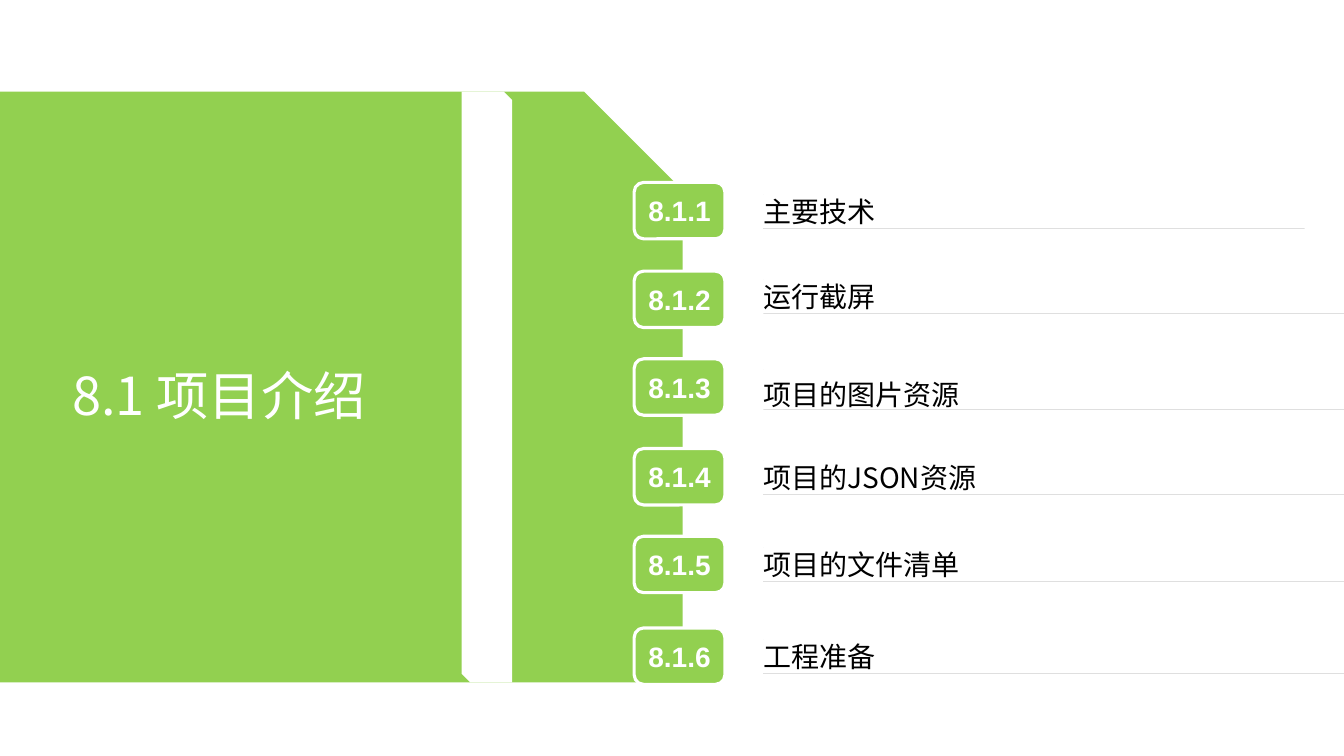
import pptx
import pptx.util
import pptx.dml.color
import pptx.enum.shapes
import pptx.enum.text
from lxml import etree

Inches, Pt = pptx.util.Inches, pptx.util.Pt
SHAPE = pptx.enum.shapes.MSO_SHAPE
ALIGN = pptx.enum.text.PP_ALIGN

TITLE = "8.1 项目介绍"
# label, text, tab top, text top, text width, text height, line spacing
ITEMS = [
    ("8.1.1", "主要技术", 1.81, 1.93, 5.37, 0.34, 1.0),
    ("8.1.2", "运行截屏", 2.69, 2.77, 6.29, 0.34, 1.0),
    ("8.1.3", "项目的图片资源", 3.56, 3.67, 6.58, 0.39, 1.3),
    ("8.1.4", "项目的JSON资源", 4.45, 4.57, 6.84, 0.34, 1.0),
    ("8.1.5", "项目的文件清单", 5.32, 5.43, 6.84, 0.34, 1.0),
    ("8.1.6", "工程准备", 6.23, 6.34, 6.84, 0.34, 1.0),
]
THEME = {
    "green": "92D050", "white": "FFFFFF", "black": "000000",
    "latin": "Arial", "cjk": "Noto Sans CJK SC", "title": 37.33, "body": 20,
}
PANEL_TOP, PANEL_H = 0.91, 5.86
TAB_LEFT, TAB_W, TAB_H = 6.29, 0.9, 0.56
TEXT_LEFT = 7.57


def color(name):
    return pptx.dml.color.RGBColor.from_string(THEME[name])


def paint(shape, fill, edge=None):
    shape.shadow.inherit = False
    shape.fill.solid()
    shape.fill.fore_color.rgb = color(fill)
    if edge:
        shape.line.color.rgb = color(edge)
        shape.line.width = Pt(2.25)
    else:
        shape.line.fill.background()
    return shape


def add_block(slide, kind, box, fill, edge=None):
    shape = slide.shapes.add_shape(kind, *map(Inches, box))
    return paint(shape, fill, edge)


def add_strip(slide, left, top, width, height):
    """Add a text strip whose only visible edge is a hairline at its foot."""
    x, y, right, foot = map(Inches, (left, top, left + width, top + height))
    pen = slide.shapes.build_freeform(x, foot)
    pen.add_line_segments([(right, foot), (x, foot)], close=True)
    pen.move_to(x, y)
    pen.add_line_segments([(x, y), (x, y)], close=True)
    return paint(pen.convert_to_shape(), "black")


def put_text(shape, text, *, font="cjk", size="body", ink="black", bold=False,
             align=ALIGN.LEFT, space=1.0, inset=True):
    frame = shape.text_frame
    frame.word_wrap = True
    frame.vertical_anchor = pptx.enum.text.MSO_ANCHOR.MIDDLE
    if not inset:
        frame.margin_left = frame.margin_right = 0
        frame.margin_top = frame.margin_bottom = 0
    para = frame.paragraphs[0]
    para.alignment = align
    para.line_spacing = space
    run = para.add_run()
    run.text = text
    run.font.name = THEME[font]
    run.font.size = Pt(THEME[size])
    run.font.bold = bold
    run.font.color.rgb = color(ink)
    if font == "cjk":
        east = etree.SubElement(run.font._element, pptx.oxml.ns.qn("a:ea"))
        east.set("typeface", THEME[font])


def add_item(slide, label, text, tab_top, top, width, height, space):
    tab = add_block(slide, SHAPE.ROUNDED_RECTANGLE,
                    (TAB_LEFT, tab_top, TAB_W, TAB_H), "green", "white")
    put_text(tab, label, font="latin", ink="white", bold=True,
             align=ALIGN.CENTER, inset=False)
    strip = add_strip(slide, TEXT_LEFT, top, width, height)
    put_text(strip, text, space=space, inset=False)


def main():
    deck = pptx.Presentation()
    deck.slide_width, deck.slide_height = Inches(13.33), Inches(7.5)
    slide = deck.slides.add_slide(deck.slide_layouts[6])
    add_block(slide, SHAPE.SNIP_1_RECTANGLE,
              (-0.03, PANEL_TOP, 6.8, PANEL_H), "green")
    add_block(slide, SHAPE.SNIP_2_DIAG_RECTANGLE,
              (4.58, PANEL_TOP, 0.5, PANEL_H), "white")
    title = slide.shapes.add_textbox(*map(Inches, (0.62, 3.49, 3.96, 0.84)))
    put_text(title, TITLE, size="title", ink="white")
    for item in ITEMS:
        add_item(slide, *item)
    deck.save("out.pptx")


if __name__ == "__main__":
    main()
